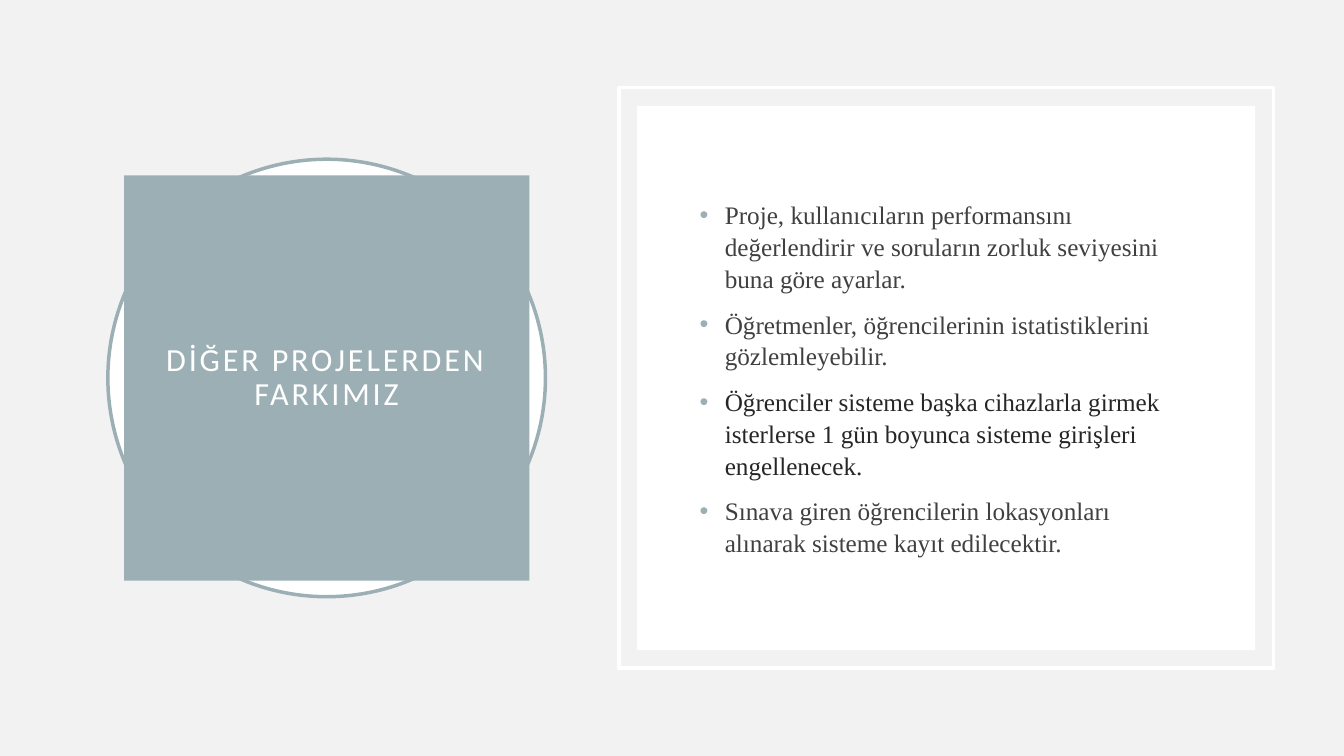
from lxml.etree import SubElement
from pptx import Presentation
from pptx.dml.color import RGBColor
from pptx.enum.shapes import MSO_SHAPE
from pptx.enum.text import MSO_ANCHOR, MSO_AUTO_SIZE, PP_ALIGN
from pptx.oxml.ns import qn
from pptx.util import Inches, Pt

BACKGROUND = RGBColor(0xF2, 0xF2, 0xF2)
WHITE = RGBColor(0xFF, 0xFF, 0xFF)
TEAL = RGBColor(0x9B, 0xAF, 0xB5)
DARK_GREY = RGBColor(0x40, 0x40, 0x40)
NEAR_BLACK = RGBColor(0x26, 0x26, 0x26)

TITLE = "DİĞER PROJELERDEN FARKIMIZ"
DIFFERENCES = [
    ("Proje, kullanıcıların performansını değerlendirir ve soruların zorluk "
     "seviyesini buna göre ayarlar.", DARK_GREY),
    ("Öğretmenler, öğrencilerinin istatistiklerini gözlemleyebilir.", DARK_GREY),
    ("Öğrenciler sisteme başka cihazlarla girmek isterlerse 1 gün boyunca "
     "sisteme girişleri engellenecek.", NEAR_BLACK),
    ("Sınava giren öğrencilerin lokasyonları alınarak sisteme kayıt "
     "edilecektir.", DARK_GREY),
]


def inset(box, horizontal, vertical):
    """Shrink a (left, top, width, height) box in inches on every side."""
    left, top, width, height = box
    return (left + horizontal, top + vertical,
            width - 2 * horizontal, height - 2 * vertical)


def add_panel(slide, kind, box, fill=None, line=None):
    shape = slide.shapes.add_shape(kind, *map(Inches, box))
    shape.shadow.inherit = False
    if fill is None:
        shape.fill.background()
    else:
        shape.fill.solid()
        shape.fill.fore_color.rgb = fill
    if line is None:
        shape.line.fill.background()
    else:
        shape.line.color.rgb = line
        shape.line.width = Pt(2.5)


def prepare_frame(frame, horizontal, vertical):
    frame.word_wrap = True
    frame.auto_size = MSO_AUTO_SIZE.NONE
    frame.vertical_anchor = MSO_ANCHOR.MIDDLE
    frame.margin_left = frame.margin_right = Inches(horizontal)
    frame.margin_top = frame.margin_bottom = Inches(vertical)


def write_text(paragraph, text, *, font, size, color, align=PP_ALIGN.LEFT,
               line_spacing=1.0, before=0, after=0, letter_spacing=0):
    paragraph.alignment = align
    paragraph.line_spacing = line_spacing
    paragraph.space_before = Pt(before)
    paragraph.space_after = Pt(after)
    run = paragraph.add_run()
    run.text = text
    run.font.name = font
    run.font.size = Pt(size)
    run.font.color.rgb = color
    if letter_spacing:
        run._r.get_or_add_rPr().set("spc", str(letter_spacing * 100))


def add_bullet(paragraph, color):
    properties = paragraph._p.get_or_add_pPr()
    properties.set("marL", str(Inches(0.25)))
    properties.set("indent", str(-Inches(0.25)))
    bullet_color = SubElement(properties, qn("a:buClr"))
    SubElement(bullet_color, qn("a:srgbClr"), val=str(color))
    SubElement(properties, qn("a:buFont"), typeface="Arial")
    SubElement(properties, qn("a:buChar"), char="•")


def build_title(slide, box):
    add_panel(slide, MSO_SHAPE.OVAL, box, fill=WHITE, line=TEAL)
    title = slide.shapes.title
    title.left, title.top, title.width, title.height = map(
        Inches, inset(box, 0.16, 0.16))
    title.fill.solid()
    title.fill.fore_color.rgb = TEAL
    # The title square lies over the circle.
    slide.shapes._spTree.append(title._element)
    prepare_frame(title.text_frame, 0.2, 0.2)
    write_text(title.text_frame.paragraphs[0], TITLE, font="Calibri", size=23,
               color=WHITE, align=PP_ALIGN.CENTER, line_spacing=0.9,
               before=6, after=6, letter_spacing=2)


def build_differences(slide, box):
    add_panel(slide, MSO_SHAPE.RECTANGLE, box, line=WHITE)
    add_panel(slide, MSO_SHAPE.RECTANGLE, inset(box, 0.18, 0.18), fill=WHITE)
    text_box = slide.shapes.add_textbox(*map(Inches, inset(box, 0.7, 0.71)))
    frame = text_box.text_frame
    prepare_frame(frame, 0.1, 0.05)
    for index, (text, color) in enumerate(DIFFERENCES):
        paragraph = frame.add_paragraph() if index else frame.paragraphs[0]
        write_text(paragraph, text, font="Times New Roman", size=18,
                   color=color, line_spacing=1.05, before=10)
        add_bullet(paragraph, TEAL)


def main():
    presentation = Presentation()
    presentation.slide_width = Inches(13.33)
    presentation.slide_height = Inches(7.5)
    slide = presentation.slides.add_slide(presentation.slide_layouts[5])
    slide.background.fill.solid()
    slide.background.fill.fore_color.rgb = BACKGROUND
    build_title(slide, (1.07, 1.58, 4.34, 4.34))
    build_differences(slide, (6.14, 0.87, 6.49, 5.76))
    presentation.save("out.pptx")


if __name__ == "__main__":
    main()
